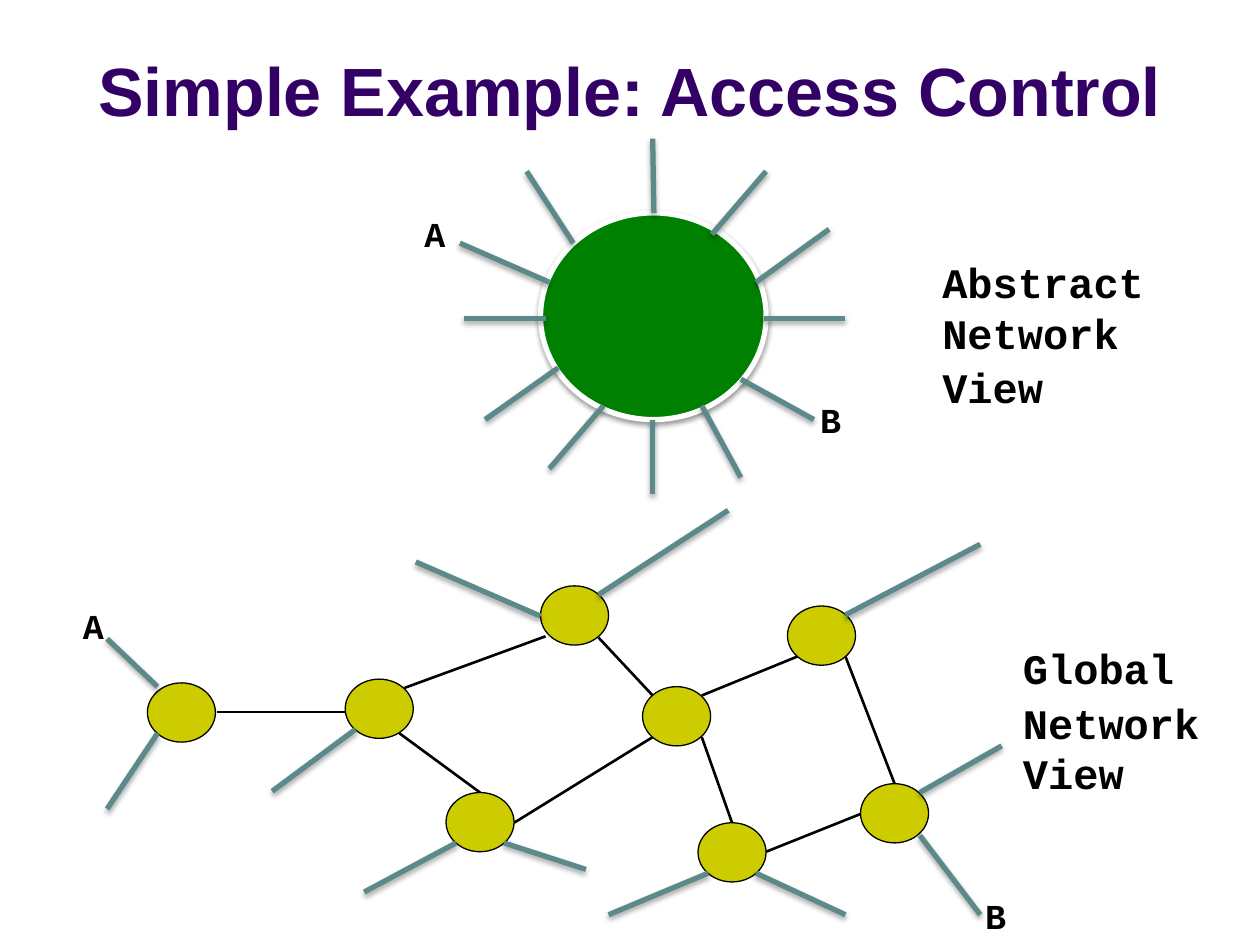
from dataclasses import dataclass

import pptx
import pptx.dml.color
import pptx.enum.shapes
import pptx.enum.text
import pptx.oxml
import pptx.oxml.ns
import pptx.util
from pptx.util import Inches, Pt

BLACK, WHITE, TEAL = "000000", "FFFFFF", "5C8A8A"
GREEN, YELLOW, PURPLE = "008000", "CCCC00", "330066"
NODE_SIZE = (0.54, 0.47)


@dataclass
class Line:
    x1: float
    y1: float
    x2: float
    y2: float


@dataclass
class Label:
    lines: list[str]
    left: float
    top: float
    width: float
    height: float
    size: int


# Links between the switches, and the edge ports around them
LINKS = [
    Line(1.72, 5.65, 2.74, 5.65), Line(3.21, 5.46, 4.33, 5.05),
    Line(3.17, 5.82, 3.81, 6.29), Line(4.75, 5.06, 5.18, 5.52),
    Line(4.08, 6.53, 5.18, 5.85), Line(5.57, 5.52, 6.33, 5.21),
    Line(5.57, 5.85, 5.81, 6.53), Line(6.71, 5.21, 7.1, 6.22),
    Line(6.08, 6.76, 6.83, 6.46),
]
PORTS = [
    Line(0.85, 5.07, 1.25, 5.45), Line(0.85, 6.42, 1.25, 5.82),
    Line(2.16, 6.28, 2.82, 5.79), Line(3.3, 4.46, 4.29, 4.89),
    Line(4.75, 4.72, 5.78, 4.05), Line(2.89, 7.08, 3.62, 6.69),
    Line(4, 6.69, 4.65, 6.9), Line(5.62, 6.93, 4.83, 7.26),
    Line(6, 6.93, 6.71, 7.26), Line(6.71, 4.88, 7.78, 4.32),
    Line(7.3, 6.29, 7.95, 5.92), Line(7.3, 6.63, 7.78, 7.26),
]
NODES = [
    (1.17, 5.42), (2.74, 5.39), (4.29, 4.65), (3.54, 6.29),
    (5.1, 5.45), (5.54, 6.53), (6.25, 4.81), (6.83, 6.22),
]

# Ports of the single abstract switch, clockwise from the top
SPOKES = [
    Line(5.19, 1.69, 5.18, 1.1), Line(5.65, 1.86, 6.08, 1.36),
    Line(6, 2.24, 6.58, 1.82), Line(6.06, 2.53, 6.71, 2.53),
    Line(5.88, 3.01, 6.46, 3.33), Line(5.57, 3.22, 5.88, 3.79),
    Line(5.18, 3.92, 5.18, 3.33), Line(4.36, 3.72, 4.79, 3.22),
    Line(3.85, 3.33, 4.43, 2.92), Line(3.68, 2.53, 4.33, 2.53),
    Line(4.36, 2.24, 3.65, 1.93), Line(4.55, 1.93, 4.18, 1.36),
]

VIEW_LABELS = [
    Label(["Global", "Network View"], 8.02, 5.05, 1.84, 1.31, 24),
    Label(["Abstract Network", "View"], 7.38, 1.99, 2.25, 1.31, 24),
]
HOST_LABELS = [
    Label([name], left, top, 0.38, 0.44, 20)
    for name, left, top in [
        ("A", 0.56, 4.75), ("B", 7.72, 7.05), ("A", 3.27, 1.64), ("B", 6.41, 3.11),
    ]
]


def color(value: str) -> pptx.dml.color.RGBColor:
    return pptx.dml.color.RGBColor.from_string(value)


def set_shadow(shape, opacity: int = 0, blur: float = 3.1, distance: float = 1.8) -> None:
    """Give the shape a downward shadow, or none when opacity is 0."""
    properties = shape._element.spPr
    for old in properties.findall(pptx.oxml.ns.qn("a:effectLst")):
        properties.remove(old)
    shadow = ""
    if opacity:
        shadow = (
            f'<a:outerShdw blurRad="{Pt(blur)}" dist="{Pt(distance)}" dir="5400000" '
            f'rotWithShape="0"><a:srgbClr val="{BLACK}">'
            f'<a:alpha val="{opacity * 1000}"/></a:srgbClr></a:outerShdw>'
        )
    properties.append(pptx.oxml.parse_xml(
        f'<a:effectLst {pptx.oxml.ns.nsdecls("a")}>{shadow}</a:effectLst>'
    ))


def draw_line(shapes, line: Line, stroke: str, width: float, opacity: int = 0) -> None:
    connector = shapes.add_connector(
        pptx.enum.shapes.MSO_CONNECTOR.STRAIGHT,
        Inches(line.x1), Inches(line.y1), Inches(line.x2), Inches(line.y2),
    )
    connector.line.color.rgb = color(stroke)
    connector.line.width = Pt(width)
    set_shadow(connector, opacity)


def draw_ellipse(shapes, left: float, top: float, width: float, height: float,
                 fill: str, stroke: str, line_width: float):
    ellipse = shapes.add_shape(
        pptx.enum.shapes.MSO_SHAPE.OVAL,
        Inches(left), Inches(top), Inches(width), Inches(height),
    )
    ellipse.fill.solid()
    ellipse.fill.fore_color.rgb = color(fill)
    ellipse.line.color.rgb = color(stroke)
    ellipse.line.width = Pt(line_width)
    ellipse.shadow.inherit = False
    return ellipse


def add_span(para, text: str, font: str, size: int, ink: str) -> None:
    span = para.add_run()
    span.text = text
    span.font.name = font
    span.font.size = Pt(size)
    span.font.bold = True
    span.font.color.rgb = color(ink)


def draw_label(shapes, label: Label) -> None:
    box = shapes.add_textbox(
        Inches(label.left), Inches(label.top), Inches(label.width), Inches(label.height)
    )
    frame = box.text_frame
    frame.word_wrap = True
    for index, text in enumerate(label.lines):
        para = frame.add_paragraph() if index else frame.paragraphs[0]
        para.space_before = Pt(label.size * 0.1)
        add_span(para, text, "Courier New", label.size, BLACK)


def draw_title(page, text: str) -> None:
    title = page.shapes.title
    title.left, title.top = Inches(0), Inches(0.13)
    title.width, title.height = Inches(10), Inches(0.95)
    frame = title.text_frame
    frame.auto_size = pptx.enum.text.MSO_AUTO_SIZE.NONE
    frame.vertical_anchor = pptx.enum.text.MSO_ANCHOR.BOTTOM
    para = frame.paragraphs[0]
    para.alignment = pptx.enum.text.PP_ALIGN.CENTER
    add_span(para, text, "Arial", 39, PURPLE)


def main() -> None:
    deck = pptx.Presentation()
    deck.slide_width, deck.slide_height = Inches(10), Inches(7.5)
    page = deck.slides.add_slide(deck.slide_layouts.get_by_name("Title Only"))
    draw_title(page, "Simple Example: Access Control")

    # Global network view
    for link in LINKS:
        draw_line(page.shapes, link, BLACK, 1.5)
    for left, top in NODES:
        draw_ellipse(page.shapes, left, top, *NODE_SIZE, YELLOW, BLACK, 0.75)
    for port in PORTS:
        draw_line(page.shapes, port, TEAL, 3, opacity=35)

    # Abstract network view
    abstract = page.shapes.add_group_shape().shapes
    switch = draw_ellipse(abstract, 4.29, 1.69, 1.79, 1.64, GREEN, WHITE, 3)
    set_shadow(switch, opacity=38, distance=1.6)
    for spoke in SPOKES:
        draw_line(abstract, spoke, TEAL, 3, opacity=35)

    # Names of the views and hosts
    for label in VIEW_LABELS + HOST_LABELS:
        draw_label(page.shapes, label)

    deck.save("out.pptx")


if __name__ == "__main__":
    main()
